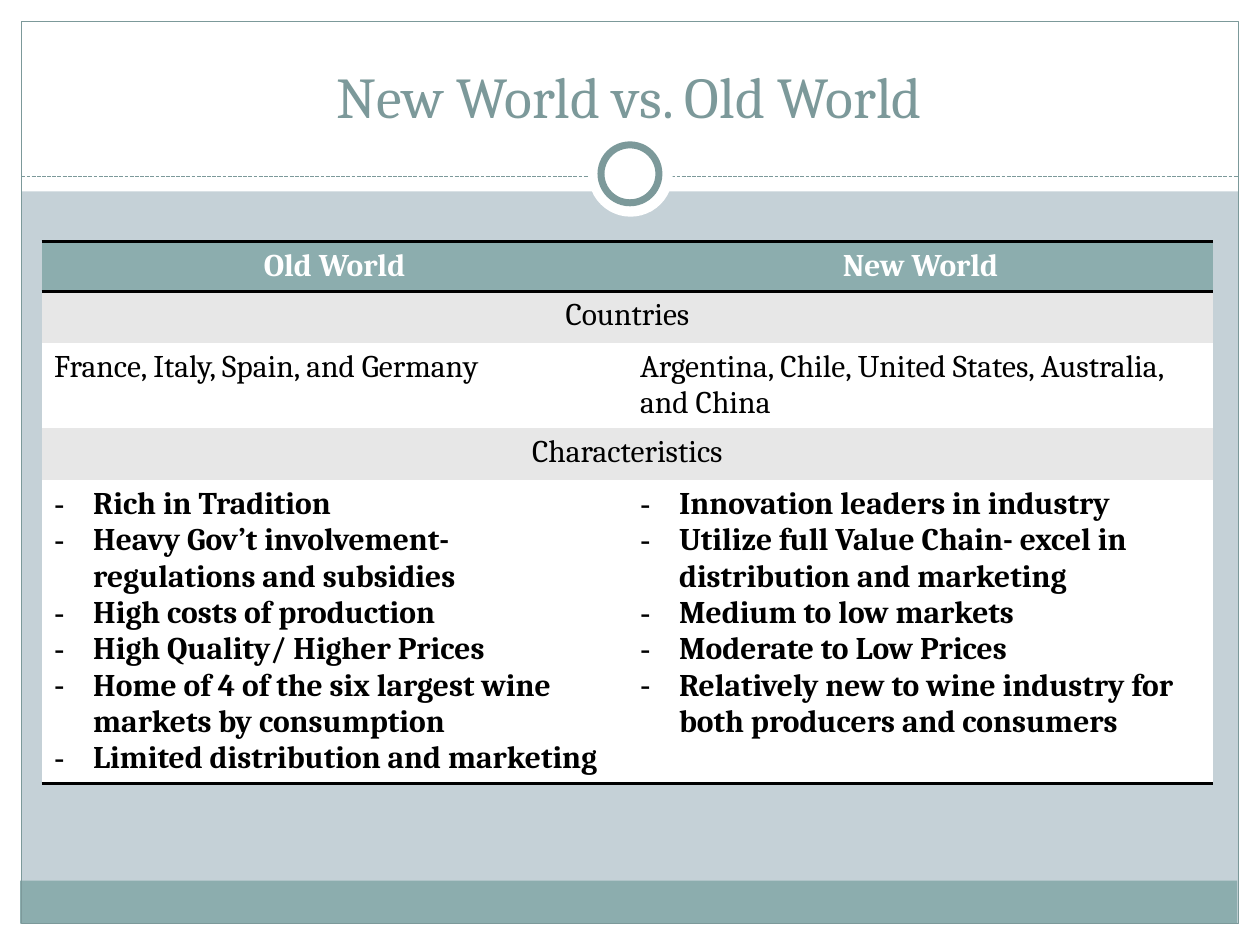
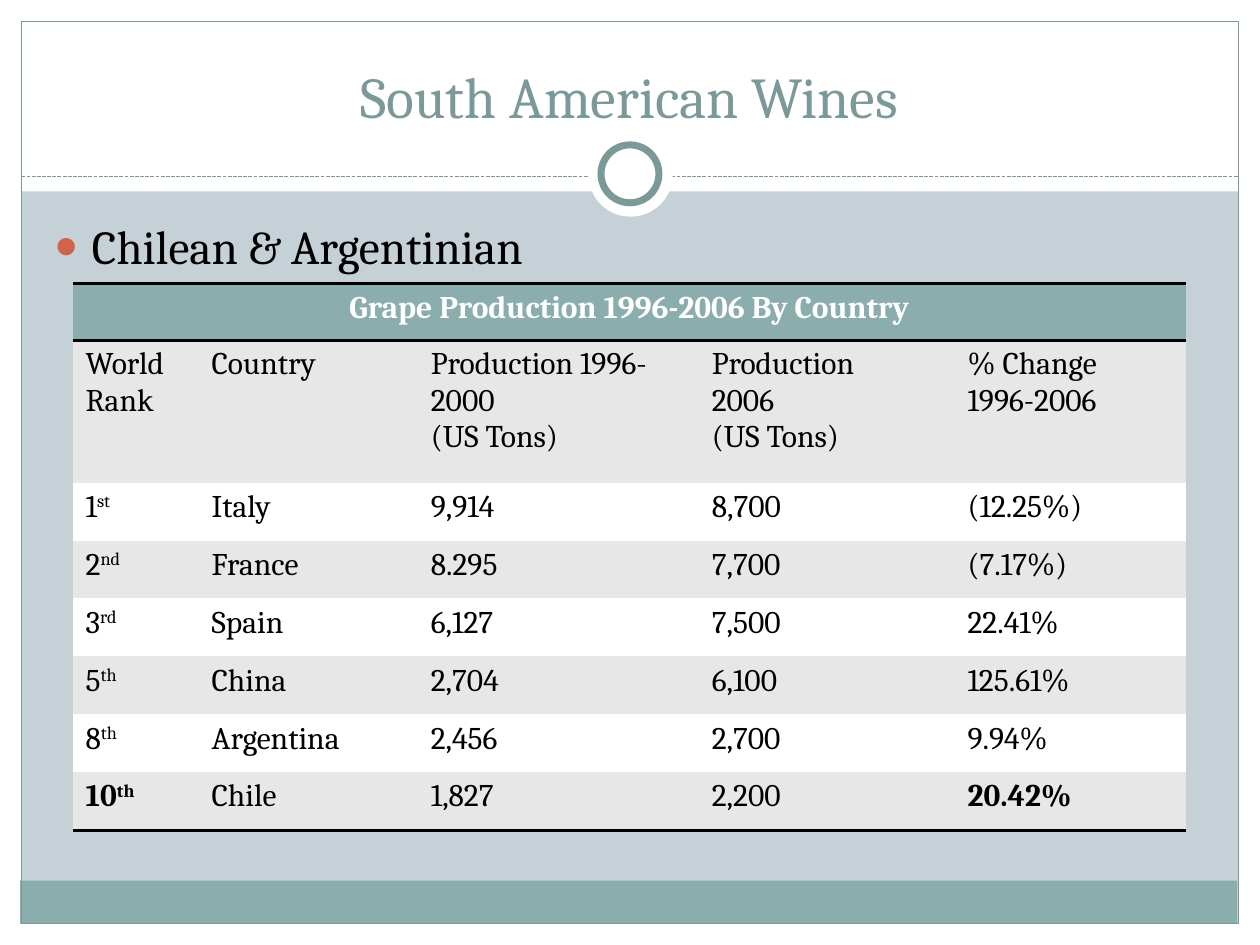
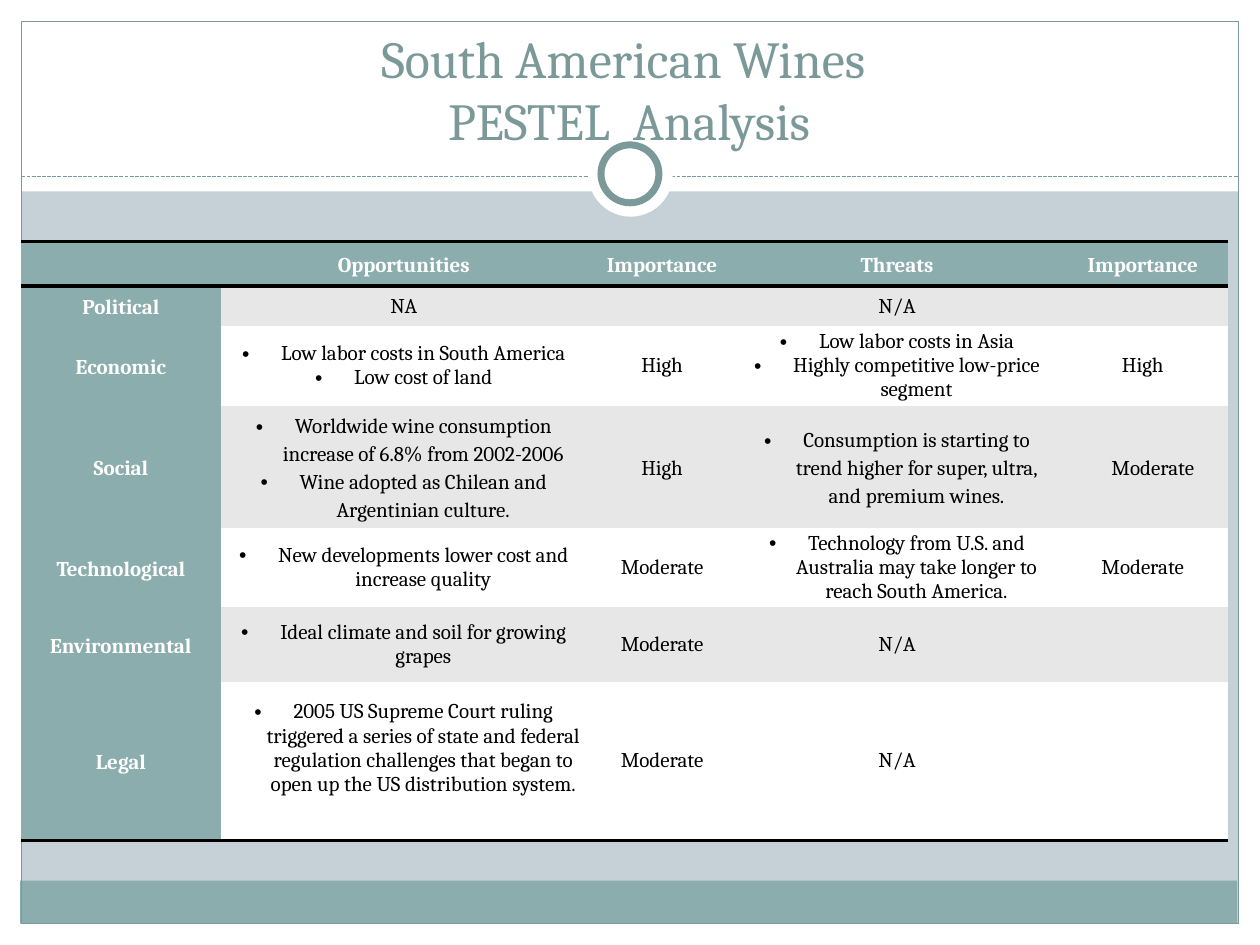
import pptx
import pptx.dml.color
import pptx.enum.dml
import pptx.enum.shapes
import pptx.enum.text
import pptx.oxml.ns
import pptx.util
from lxml import etree

Inches = pptx.util.Inches
Pt = pptx.util.Pt
RGBColor = pptx.dml.color.RGBColor
SHAPE = pptx.enum.shapes.MSO_SHAPE
ALIGN = pptx.enum.text.PP_ALIGN
ANCHOR = pptx.enum.text.MSO_ANCHOR
qn = pptx.oxml.ns.qn

MIST = RGBColor(0xC5, 0xD1, 0xD7)
TEAL = RGBColor(0x8C, 0xAD, 0xAE)
DEEP_TEAL = RGBColor(0x7C, 0x99, 0x9A)
GRAY = RGBColor(0xE7, 0xE7, 0xE7)
WHITE = RGBColor(0xFF, 0xFF, 0xFF)
BLACK = RGBColor(0, 0, 0)
RUST = RGBColor(0xD1, 0x63, 0x49)

FONT = "Cambria"
PLAIN_TABLE = "{2D5ABB26-0587-4C30-8999-92F81FD0307C}"
TITLE_ONLY, TITLE_AND_CONTENT = 5, 1

OLD_WORLD_TRAITS = [
    "Rich in Tradition",
    "Heavy Gov’t involvement- regulations and subsidies",
    "High costs of production",
    "High Quality/ Higher Prices",
    "Home of 4 of the six largest wine markets by consumption",
    "Limited distribution and marketing",
]
NEW_WORLD_TRAITS = [
    "Innovation leaders in industry",
    "Utilize full Value Chain- excel in distribution and marketing",
    "Medium to low markets",
    "Moderate to Low Prices",
    "Relatively new to wine industry for both producers and consumers",
]
PRODUCTION_HEADINGS = [
    ["World Rank"],
    ["Country"],
    ["Production 1996-2000", "(US Tons)"],
    ["Production", "2006", "(US Tons)"],
    ["% Change", "1996-2006"],
]
PRODUCTION = [
    ("1", "st", "Italy", "9,914", "8,700", "(12.25%)"),
    ("2", "nd", "France", "8.295", "7,700", "(7.17%)"),
    ("3", "rd", "Spain", "6,127", "7,500", "22.41%"),
    ("5", "th", "China", "2,704", "6,100", "125.61%"),
    ("8", "th", "Argentina", "2,456", "2,700", "9.94%"),
    ("10", "th", "Chile", "1,827", "2,200", "20.42%"),
]
PESTEL_HEADINGS = ["", "Opportunities", "Importance", "Threats", "Importance"]
PESTEL = [
    ("Political", "NA", "", "N/A", ""),
    ("Economic", ["Low labor costs in South America", "Low cost of land"], "High",
     ["Low labor costs in Asia", "Highly competitive low-price segment"], "High"),
    ("Social", ["Worldwide wine consumption increase of 6.8% from 2002-2006",
                "Wine adopted as Chilean and Argentinian culture."], "High",
     ["Consumption is starting to trend higher for super, ultra, and premium wines."], "Moderate"),
    ("Technological", ["New developments lower cost and increase quality"], "Moderate",
     ["Technology from U.S. and Australia may take longer to reach South America."], "Moderate"),
    ("Environmental", ["Ideal climate and soil for growing grapes"], "Moderate", "N/A", ""),
    ("Legal", ["2005 US Supreme Court ruling triggered a series of state and federal regulation "
               "challenges that began to open up the US distribution system."], "Moderate", "N/A", ""),
]


def add_run(paragraph, text, size, color, bold=False, superscript=False):
    run = paragraph.add_run()
    run.text = text
    run.font.name = FONT
    run.font.size = Pt(size)
    run.font.bold = bold
    run.font.color.rgb = color
    if superscript:
        run._r.get_or_add_rPr().set("baseline", "30000")


def set_indent(paragraph, left, first=0):
    properties = paragraph._p.get_or_add_pPr()
    properties.set("marL", str(Inches(left)))
    properties.set("indent", str(Inches(first)))
    return properties


def set_bullet(paragraph, mark, indent, color=None, percent=None):
    properties = set_indent(paragraph, indent, -indent)
    if color is not None:
        bullet_color = etree.SubElement(properties, qn("a:buClr"))
        etree.SubElement(bullet_color, qn("a:srgbClr"), val=str(color))
    if percent:
        etree.SubElement(properties, qn("a:buSzPct"), val=str(percent * 1000))
    etree.SubElement(properties, qn("a:buFont"), typeface="Arial")
    etree.SubElement(properties, qn("a:buChar"), char=mark)


def add_panel(slide, preset, left, top, width, height, fill=None, line_width=None):
    panel = slide.shapes.add_shape(preset, Inches(left), Inches(top), Inches(width), Inches(height))
    panel.shadow.inherit = False
    if fill is None:
        panel.fill.background()
    else:
        panel.fill.solid()
        panel.fill.fore_color.rgb = fill
    if line_width is None:
        panel.line.fill.background()
    else:
        panel.line.color.rgb = DEEP_TEAL
        panel.line.width = Pt(line_width)
    return panel


def add_dashed_rule(slide, left, right, y):
    rule = slide.shapes.add_connector(
        pptx.enum.shapes.MSO_CONNECTOR.STRAIGHT, Inches(left), Inches(y), Inches(right), Inches(y))
    rule.line.color.rgb = DEEP_TEAL
    rule.line.width = Pt(0.75)
    rule.line.dash_style = pptx.enum.dml.MSO_LINE.SQUARE_DOT
    etree.SubElement(rule.element.spPr, qn("a:effectLst"))
    return rule


def set_master_frame(master, slide):
    master.background.fill.solid()
    master.background.fill.fore_color.rgb = MIST
    frame = [
        add_panel(slide, SHAPE.RECTANGLE, 0, 7.33, 10, 0.17, WHITE),
        add_panel(slide, SHAPE.RECTANGLE, 0, 0, 10, 1.52, WHITE),
        add_panel(slide, SHAPE.RECTANGLE, 0, 0, 0.17, 7.5, WHITE),
        add_panel(slide, SHAPE.RECTANGLE, 9.83, 0, 0.17, 7.5, WHITE),
        add_panel(slide, SHAPE.RECTANGLE, 0.16, 6.99, 9.66, 0.34, TEAL),
        add_panel(slide, SHAPE.RECTANGLE, 0.17, 0.17, 9.66, 7.16, line_width=0.75),
        add_dashed_rule(slide, 0.17, 9.83, 1.4),
        add_panel(slide, SHAPE.OVAL, 4.67, 1.05, 0.67, 0.67, WHITE),
        add_panel(slide, SHAPE.OVAL, 4.77, 1.15, 0.46, 0.46, WHITE, 4),
    ]
    for number, part in enumerate(frame, 100):
        part.element.xpath(".//p:cNvPr")[0].set("id", str(number))
        master.shapes.element.append(part.element)


def place(placeholder, left, top, width, height):
    placeholder.left, placeholder.top = Inches(left), Inches(top)
    placeholder.width, placeholder.height = Inches(width), Inches(height)
    placeholder.text_frame.auto_size = pptx.enum.text.MSO_AUTO_SIZE.NONE


def set_title(slide, lines, size=33, height=0.83):
    title = slide.shapes.title
    place(title, 0.33, 0.25, 9.33, height)
    title.text_frame.vertical_anchor = ANCHOR.BOTTOM
    paragraph = title.text_frame.paragraphs[0]
    paragraph.alignment = ALIGN.CENTER
    for index, line in enumerate(lines):
        if index:
            paragraph.add_line_break()
        add_run(paragraph, line, size, DEEP_TEAL)


def set_topic(slide, text):
    topic = slide.placeholders[1]
    place(topic, 0.33, 1.67, 9.3, 5)
    paragraph = topic.text_frame.paragraphs[0]
    set_bullet(paragraph, "●", 0.3, RUST, 85)
    add_run(paragraph, text, 27, BLACK)


def add_edge(cell, tag):
    edge = etree.Element(qn(tag), w=str(Pt(2)))
    fill = etree.SubElement(edge, qn("a:solidFill"))
    etree.SubElement(fill, qn("a:srgbClr"), val=str(BLACK))
    cell._tc.get_or_add_tcPr().insert(0, edge)


def add_banded_table(slide, left, top, widths, heights, label_column=False):
    frame = slide.shapes.add_table(
        len(heights), len(widths), Inches(left), Inches(top), Inches(sum(widths)), Inches(sum(heights)))
    table = frame.table
    table._tbl.tblPr.find(qn("a:tableStyleId")).text = PLAIN_TABLE
    for column, width in zip(table.columns, widths):
        column.width = Inches(width)
    last = len(heights) - 1
    for index, height in enumerate(heights):
        table.rows[index].height = Inches(height)
        for position in range(len(widths)):
            cell = table.cell(index, position)
            teal = index == 0 or (label_column and position == 0)
            cell.fill.solid()
            cell.fill.fore_color.rgb = TEAL if teal else (GRAY if index % 2 else WHITE)
            if index in (0, last):
                add_edge(cell, "a:lnB")
            if index == 0:
                add_edge(cell, "a:lnT")
    return table


def write_cell(cell, lines, size=18, color=BLACK, bold=False, align=None, bullet=None, spacing=None):
    for index, line in enumerate(lines):
        text_frame = cell.text_frame
        paragraph = text_frame.add_paragraph() if index else text_frame.paragraphs[0]
        paragraph.alignment = align
        paragraph.line_spacing = spacing
        if bullet:
            set_bullet(paragraph, bullet, 0.31)
        if line:
            add_run(paragraph, line, size, color, bold)
        else:
            etree.SubElement(paragraph._p, qn("a:endParaRPr"), sz=str(size * 100))


def write_heading(cell, text):
    write_cell(cell, [text], color=WHITE, bold=True, align=ALIGN.CENTER)


def write_spanning_row(table, row, text):
    table.cell(row, 0).merge(table.cell(row, len(table.columns) - 1))
    write_cell(table.cell(row, 0), [text], align=ALIGN.CENTER)


def fill_comparison(slide):
    table = add_banded_table(slide, 0.33, 1.92, [4.65] * 2, [0.39, 0.41, 0.67, 0.41, 2.41])
    write_heading(table.cell(0, 0), "Old World")
    write_heading(table.cell(0, 1), "New World")
    write_spanning_row(table, 1, "Countries")
    write_cell(table.cell(2, 0), ["France, Italy, Spain, and Germany"])
    write_cell(table.cell(2, 1), ["Argentina, Chile, United States, Australia, and China"])
    write_spanning_row(table, 3, "Characteristics")
    for column, traits in enumerate([OLD_WORLD_TRAITS, NEW_WORLD_TRAITS]):
        write_cell(table.cell(4, column), traits, bold=True, bullet="-")


def fill_production(slide):
    table = add_banded_table(
        slide, 0.58, 2.25, [1, 1.74, 2.23, 2.03, 1.83], [0.45, 1.13] + [0.46] * len(PRODUCTION))
    table.cell(0, 0).merge(table.cell(0, 4))
    write_heading(table.cell(0, 0), "Grape Production 1996-2006 By Country")
    for column, heading in enumerate(PRODUCTION_HEADINGS):
        write_cell(table.cell(1, column), heading)
    for row, (rank, suffix, *figures) in enumerate(PRODUCTION, 2):
        highlighted = rank == "10"
        rank_cell = table.cell(row, 0)
        write_cell(rank_cell, [rank], bold=highlighted)
        add_run(rank_cell.text_frame.paragraphs[0], suffix, 18, BLACK, highlighted, superscript=True)
        for column, figure in enumerate(figures, 1):
            write_cell(table.cell(row, column), [figure], bold=highlighted and column == 4)


def fill_pestel(slide):
    table = add_banded_table(
        slide, 0.17, 1.92, [1.58, 2.91, 1.19, 2.54, 1.36],
        [0.35, 0.32, 0.63, 0.97, 0.63, 0.59, 1.26], label_column=True)
    for row, entries in enumerate([PESTEL_HEADINGS] + PESTEL):
        for column, entry in enumerate(entries):
            cell = table.cell(row, column)
            cell.vertical_anchor = ANCHOR.MIDDLE
            cell.margin_left = cell.margin_right = Inches(0.05)
            cell.margin_top = cell.margin_bottom = 0
            listed = isinstance(entry, list)
            label = row == 0 or column == 0
            write_cell(
                cell, entry if listed else [entry], size=12, color=WHITE if label else BLACK,
                bold=label, align=ALIGN.CENTER, bullet="•" if listed else None,
                spacing=1.15 if label or entries[0] == "Social" else None)
    social_threat_importance = table.cell(3, 4)
    set_indent(social_threat_importance.text_frame.paragraphs[0], 0.16)
    legal_opportunity = table.cell(6, 1)
    legal_opportunity.margin_bottom = Inches(0.2)


def main():
    deck = pptx.Presentation()
    deck.slide_width, deck.slide_height = Inches(10), Inches(7.5)

    worlds = deck.slides.add_slide(deck.slide_layouts[TITLE_ONLY])
    set_master_frame(deck.slide_master, worlds)
    set_title(worlds, ["New World vs. Old World"])
    fill_comparison(worlds)

    production = deck.slides.add_slide(deck.slide_layouts[TITLE_AND_CONTENT])
    set_title(production, ["South American Wines"])
    set_topic(production, "Chilean & Argentinian")
    fill_production(production)

    pestel = deck.slides.add_slide(deck.slide_layouts[TITLE_ONLY])
    set_title(pestel, ["South American Wines ", "PESTEL  Analysis"], size=29.7, height=1)
    fill_pestel(pestel)

    deck.save("out.pptx")


if __name__ == "__main__":
    main()
